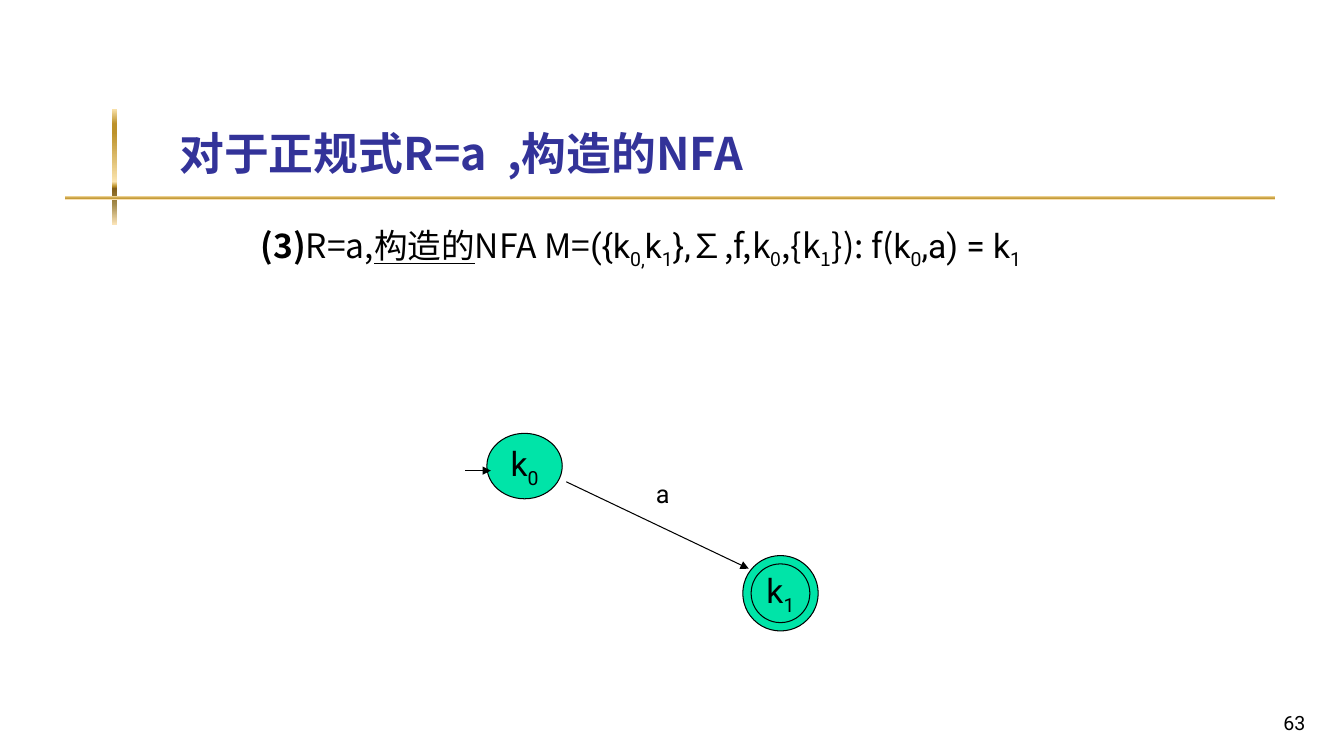
from lxml import etree
from pptx import Presentation
from pptx import util as u
from pptx.dml import color
from pptx.enum import shapes, text
from pptx.oxml import ns

SANS, SANS_JP, ROBOTO = "Noto Sans CJK SC", "Noto Sans CJK JP", "Roboto"
GOLD = [(0, "FBE4AE"), (13, "BD922A"), (21, "BD922A"), (63, "FBE4AE"),
        (67, "BD922A"), (69, "835E17"), (82, "A28949"), (100, "FAE3B7")]


def rgb(value):
    return color.RGBColor.from_string(value)


def child(parent, tag, **attributes):
    return etree.SubElement(parent, ns.qn(tag), attributes)


class NfaSlide:
    ink = "000000"
    state_fill = "00E4A8"
    line_width = u.Pt(0.75)

    def __init__(self, deck):
        self.slide = deck.slides.add_slide(deck.slide_layouts[6])

    def set_text(self, frame, runs, size, align=text.PP_ALIGN.LEFT, ink=None, **frame_format):
        for name, value in frame_format.items():
            setattr(frame, name, value)
        paragraph = frame.paragraphs[0]
        paragraph.alignment = align
        for words, font, extra in runs:
            run = paragraph.add_run()
            run.text = words
            style = {"size": u.Pt(size), "name": font, "bold": False, **extra}
            marks = {key: style.pop(key) for key in ("baseline", "spc") if key in style}
            for name, value in style.items():
                setattr(run.font, name, value)
            run.font.color.rgb = rgb(ink or self.ink)
            properties = run.font._element
            for name, value in marks.items():
                properties.set(name, value)
            child(properties, "a:ea", typeface=SANS if font == ROBOTO else font)

    def label(self, box, runs, size, **options):
        frame = self.slide.shapes.add_textbox(*map(u.Cm, box)).text_frame
        self.set_text(frame, runs, size, **{"word_wrap": True, **options})

    def shape(self, kind, box):
        shape = self.slide.shapes.add_shape(kind, *map(u.Cm, box))
        shape.shadow.inherit = False
        return shape

    def gold_bar(self, box):
        bar = self.shape(shapes.MSO_SHAPE.RECTANGLE, box)
        bar.line.fill.background()
        bar.fill.gradient()
        bar.fill.gradient_angle = 270
        stops = bar._element.spPr.find(".//" + ns.qn("a:gsLst"))
        for stop in list(stops):
            stops.remove(stop)
        for percent, shade in GOLD:
            stop = child(stops, "a:gs", pos=str(percent * 1000))
            child(stop, "a:srgbClr", val=shade)

    def state(self, box, runs=()):
        state = self.shape(shapes.MSO_SHAPE.OVAL, box)
        state.fill.solid()
        state.fill.fore_color.rgb = rgb(self.state_fill)
        state.line.color.rgb = rgb(self.ink)
        state.line.width = self.line_width
        self.set_text(state.text_frame, runs, 24, text.PP_ALIGN.CENTER,
                      word_wrap=False, vertical_anchor=text.MSO_ANCHOR.MIDDLE)

    def arrow(self, *ends):
        arrow = self.slide.shapes.add_connector(shapes.MSO_CONNECTOR.STRAIGHT, *map(u.Cm, ends))
        arrow.line.color.rgb = rgb(self.ink)
        arrow.line.width = self.line_width
        properties = arrow._element.spPr
        child(properties.find(ns.qn("a:ln")), "a:tailEnd", type="triangle")
        child(properties, "a:effectLst")


def main():
    deck = Presentation()
    deck.slide_width, deck.slide_height = u.Cm(33.87), u.Cm(19.05)
    page = NfaSlide(deck)
    bold, sub = {"bold": True}, {"baseline": "-25000"}

    page.gold_bar((2.82, 2.74, 0.13, 2.92))
    page.gold_bar((1.65, 4.95, 30.48, 0.08))
    heading = [("对于正规式R=a", SANS_JP, bold),
               (" ", SANS_JP, {"bold": True, "spc": "700"}),
               (",构造的NFA", SANS_JP, bold)]
    page.label((4.27, 0.58, 28.85, 4.06), heading, 32, ink="333399",
               vertical_anchor=text.MSO_ANCHOR.BOTTOM)

    page.state((18.72, 14, 1.9, 1.9))
    page.state((18.93, 14.21, 1.48, 1.48), [("k", ROBOTO, {}), ("1", ROBOTO, sub)])
    page.state((12.27, 10.92, 1.9, 1.65), [("k", ROBOTO, {}), ("0", ROBOTO, sub)])
    page.arrow(11.73, 11.86, 12.37, 11.86)
    page.arrow(14.27, 12.14, 18.87, 14.33)
    page.label((16.28, 11.94, 0.99, 1.02), [("a", ROBOTO, {})], 18)

    page.label((26.09, 17.35, 7.06, 1.27), [("63", ROBOTO, {})], 14,
               align=text.PP_ALIGN.RIGHT, vertical_anchor=text.MSO_ANCHOR.BOTTOM)
    formula = [
        ("(3)", SANS, bold), ("R=a,", SANS, {}),
        ("构造的", ROBOTO, {"underline": True}), ("NFA M=", SANS, {}),
        ("({k", ROBOTO, {}), ("0,", ROBOTO, sub), ("k", ROBOTO, {}),
        ("1", ROBOTO, sub), ("},", ROBOTO, {}),
        ("∑,f,k", SANS, {}), ("0", SANS, sub), (",{k", SANS, {}),
        ("1", SANS, sub), ("}): f(", SANS, {}),
        ("k", ROBOTO, {}), ("0", ROBOTO, sub), (",a) = k", ROBOTO, {}),
        ("1", ROBOTO, sub),
    ]
    page.label((6.32, 5.54, 22.4, 1.27), formula, 24)
    deck.save("out.pptx")


if __name__ == "__main__":
    main()
